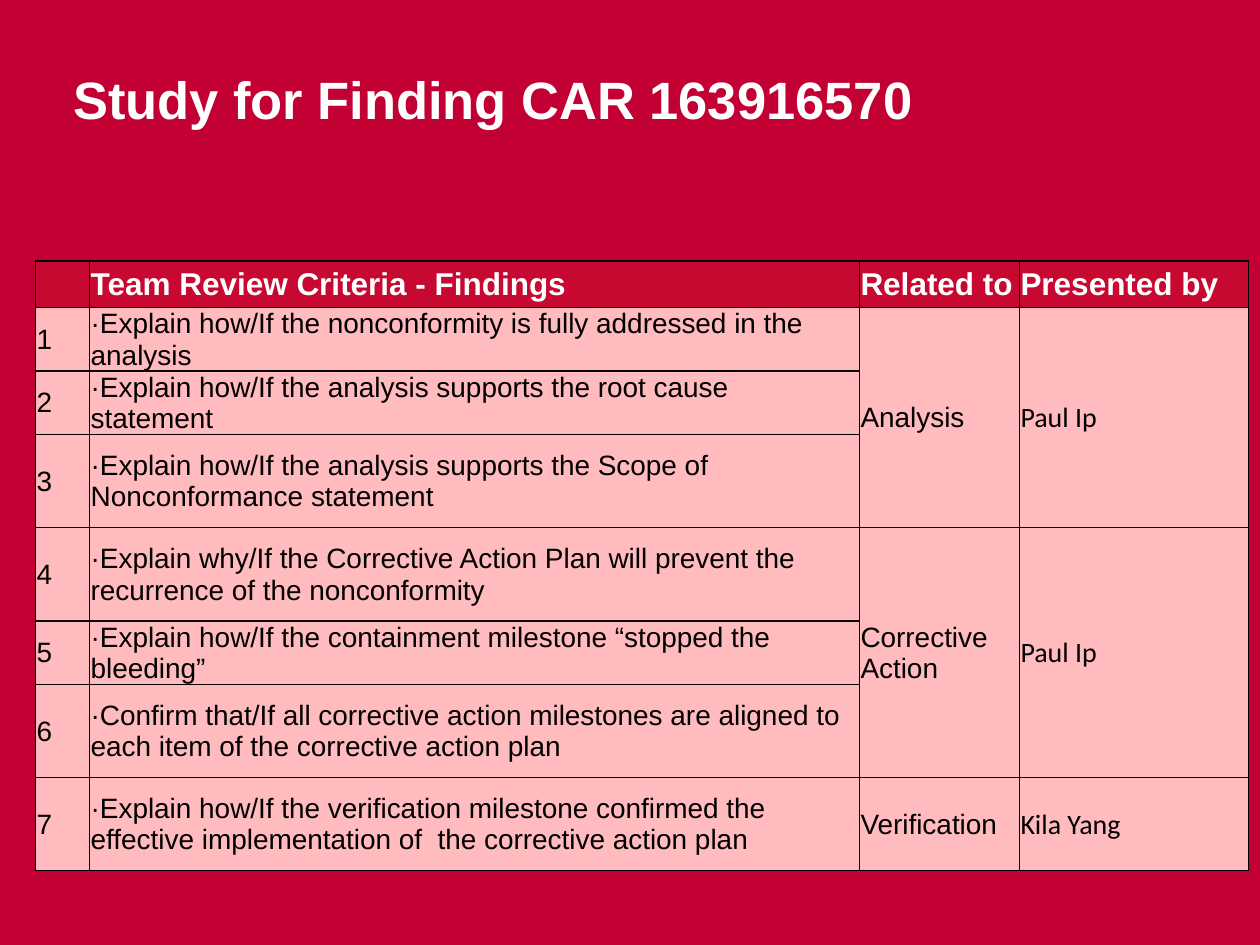
from lxml import etree
from pptx import Presentation
from pptx import util as u
from pptx.dml.color import RGBColor
from pptx.enum import text
from pptx.oxml import ns

CRIMSON = RGBColor(0xC3, 0x00, 0x34)
HEADER_RED = RGBColor(0xC7, 0x09, 0x32)
PINK = RGBColor(0xFF, 0xBB, 0xBE)
WHITE = RGBColor(0xFF, 0xFF, 0xFF)
BLACK = RGBColor(0x00, 0x00, 0x00)

COLUMN_WIDTHS = [0.43, 6.11, 1.27, 1.82]
SHORT_ROW, TALL_ROW = 0.37, 0.74
HEADER = ["", "Team Review Criteria - Findings", "Related to", "Presented by"]

# Each group: related topic, presenter, and (criterion, row height) pairs
GROUPS = [
    ("Analysis", "Paul Ip", [
        ("Explain how/If the nonconformity is fully addressed in the analysis", SHORT_ROW),
        ("Explain how/If the analysis supports the root cause statement", SHORT_ROW),
        ("Explain how/If the analysis supports the Scope of Nonconformance statement", TALL_ROW),
    ]),
    ("Corrective Action", "Paul Ip", [
        ("Explain why/If the Corrective Action Plan will prevent the recurrence of "
         "the nonconformity", TALL_ROW),
        ("Explain how/If the containment milestone “stopped the bleeding”", SHORT_ROW),
        ("Confirm that/If all corrective action milestones are aligned to each item "
         "of the corrective action plan", TALL_ROW),
    ]),
    ("Verification", "Kila Yang", [
        ("Explain how/If the verification milestone confirmed the effective "
         "implementation of  the corrective action plan", TALL_ROW),
    ]),
]


def set_font(paragraph, size, color, bold=False, name="Arial"):
    font = paragraph.font
    font.name, font.size, font.bold = name, u.Pt(size), bold
    font.color.rgb = color


def add_title(slide, wording):
    title = slide.shapes.title
    title.left, title.top = u.Inches(0.48), u.Inches(0.43)
    title.width, title.height = u.Inches(8.73), u.Inches(0.91)
    frame = title.text_frame
    frame.text = wording
    frame.vertical_anchor = text.MSO_ANCHOR.TOP
    frame.margin_top = u.Inches(0.1)
    paragraph = frame.paragraphs[0]
    paragraph.alignment = text.PP_ALIGN.LEFT
    set_font(paragraph, 30, WHITE, bold=True)


def add_borders(cell):
    """Draw a thin black line on all four sides, placed before the cell's fill."""
    properties = cell._tc.get_or_add_tcPr()
    for index, side in enumerate(("a:lnL", "a:lnR", "a:lnT", "a:lnB")):
        line = etree.Element(ns.qn(side), w=str(u.Pt(1)))
        fill = etree.SubElement(line, ns.qn("a:solidFill"))
        etree.SubElement(fill, ns.qn("a:srgbClr"), val=str(BLACK))
        properties.insert(index, line)


def format_cell(cell, fill):
    cell.margin_left = cell.margin_right = cell.margin_top = u.Inches(0.01)
    cell.margin_bottom = 0
    cell.vertical_anchor = text.MSO_ANCHOR.MIDDLE
    cell.fill.solid()
    cell.fill.fore_color.rgb = fill
    add_borders(cell)


def write_cell(cell, wording, size=16, color=BLACK, **font):
    cell.text = wording
    set_font(cell.text_frame.paragraphs[0], size, color, **font)


def fill_group(table, first_row, topic, presenter, criteria):
    last_row = first_row + len(criteria) - 1
    for row, (criterion, _) in enumerate(criteria, first_row):
        write_cell(table.cell(row, 0), str(row))
        write_cell(table.cell(row, 1), "·" + criterion)
    if last_row > first_row:
        for column in (2, 3):
            table.cell(first_row, column).merge(table.cell(last_row, column))
    write_cell(table.cell(first_row, 2), topic)
    write_cell(table.cell(first_row, 3), presenter, name="Calibri")
    return last_row + 1


def add_criteria_table(slide):
    heights = [SHORT_ROW] + [height for *_, criteria in GROUPS for _, height in criteria]
    table = slide.shapes.add_table(
        len(heights), len(COLUMN_WIDTHS), u.Inches(0.28), u.Inches(2.07),
        u.Inches(sum(COLUMN_WIDTHS)), u.Inches(sum(heights))).table
    for column, width in zip(table.columns, COLUMN_WIDTHS):
        column.width = u.Inches(width)
    for index, (row, height) in enumerate(zip(table.rows, heights)):
        row.height = u.Inches(height)
        for cell in row.cells:
            format_cell(cell, PINK if index else HEADER_RED)
            set_font(cell.text_frame.paragraphs[0], 16, BLACK)
    for column, heading in enumerate(HEADER):
        write_cell(table.cell(0, column), heading, size=18, color=WHITE, bold=True)
    next_row = 1
    for group in GROUPS:
        next_row = fill_group(table, next_row, *group)


def main():
    presentation = Presentation()
    presentation.slide_width, presentation.slide_height = u.Inches(10), u.Inches(7.5)
    slide = presentation.slides.add_slide(presentation.slide_layouts.get_by_name("Title Only"))
    slide.background.fill.solid()
    slide.background.fill.fore_color.rgb = CRIMSON
    add_title(slide, "Study for Finding CAR 163916570")
    add_criteria_table(slide)
    presentation.save("out.pptx")


if __name__ == "__main__":
    main()
